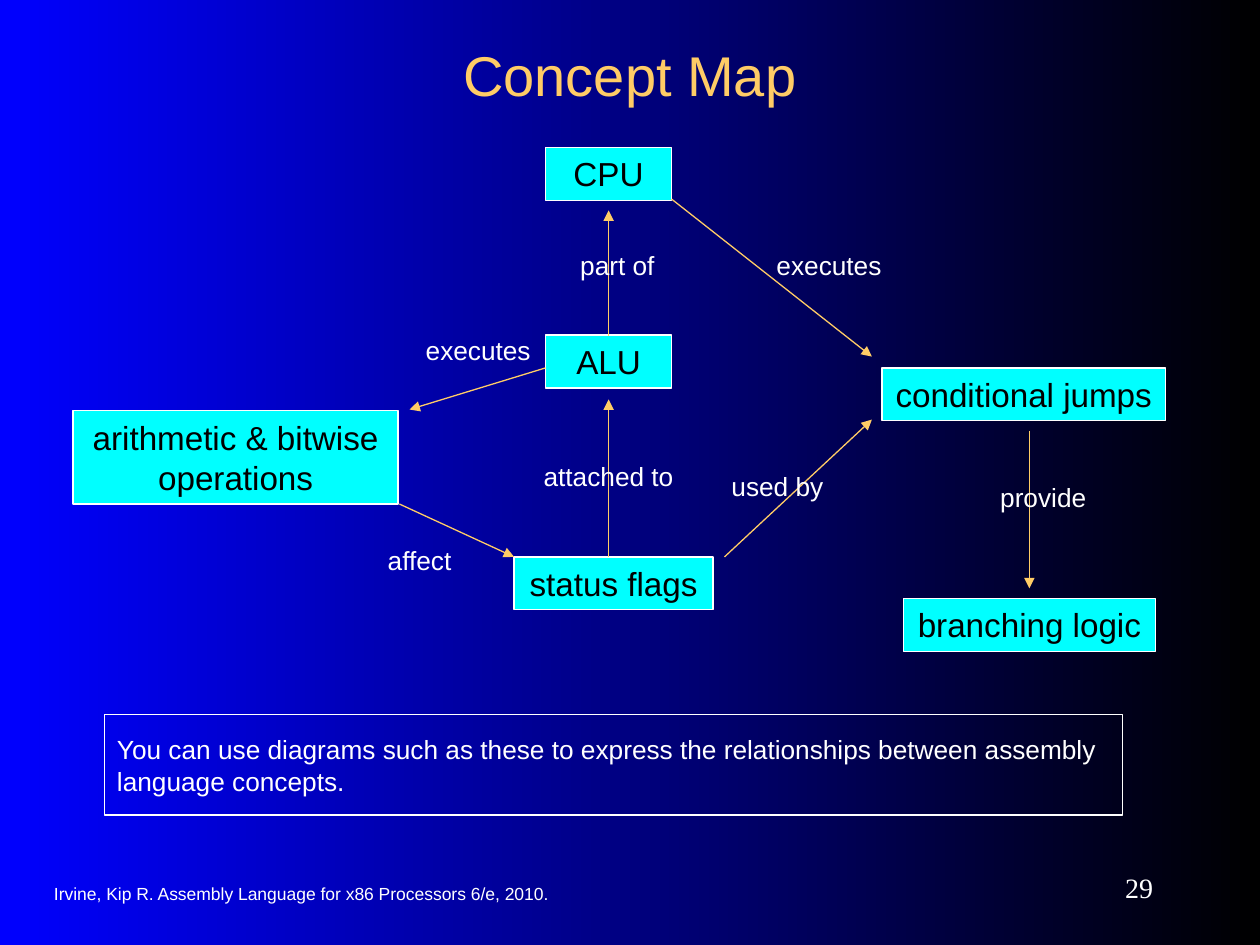
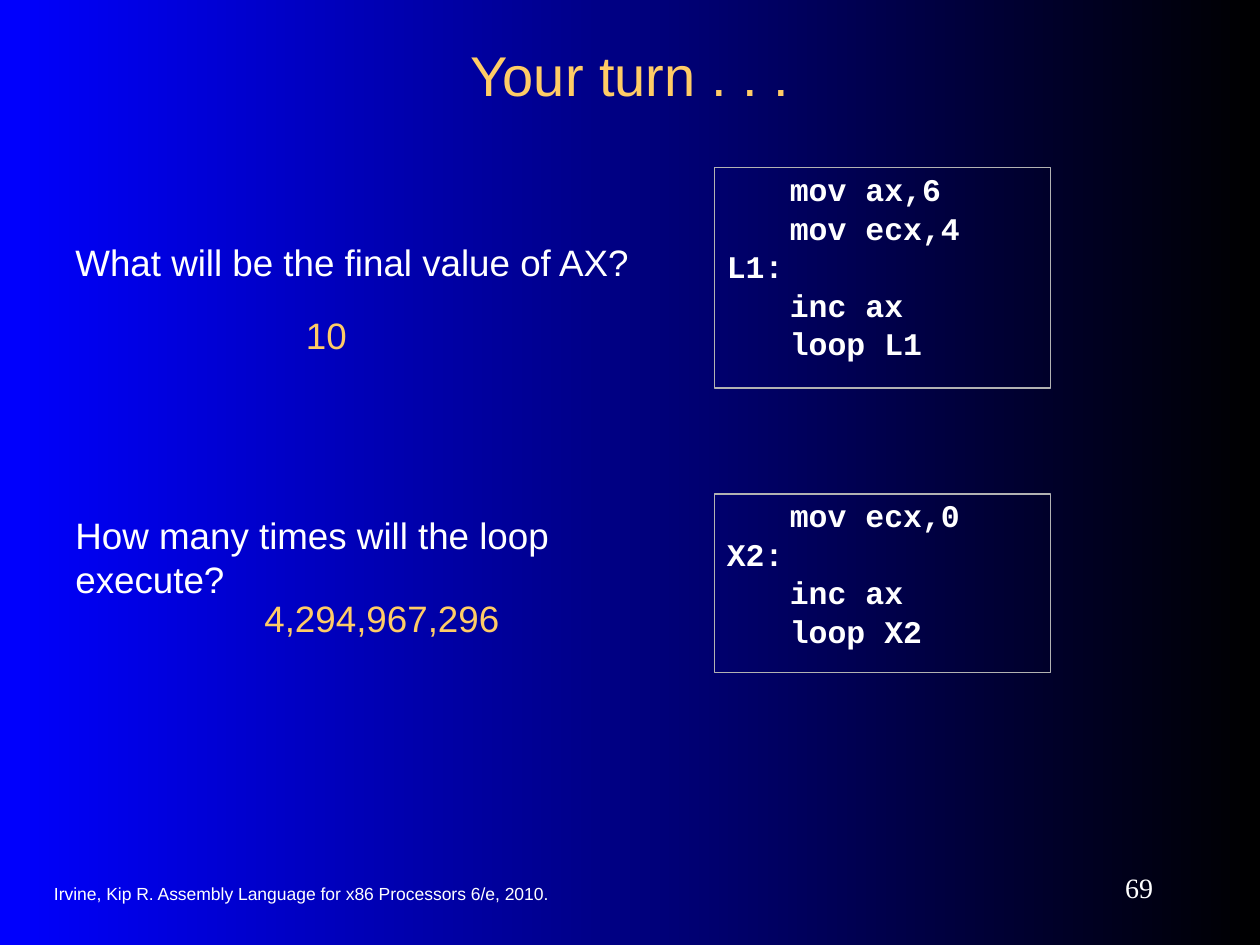
from pptx import Presentation
from pptx.dml.color import RGBColor
from pptx.enum import shapes, text
from pptx.oxml import ns, xmlchemy as xml
from pptx.util import Inches, Pt

WHITE, BLACK, GOLD = "FFFFFF", "000000", "FFCC66"
BLUE, CYAN, GRAY = "0000FF", "00FFFF", "B2B2B2"
LEFT, MID, RIGHT = text.PP_ALIGN.LEFT, text.PP_ALIGN.CENTER, text.PP_ALIGN.RIGHT
SOURCE = "Irvine, Kip R. Assembly Language for x86 Processors 6/e, 2010."


def color(code):
    return RGBColor.from_string(code)


def add(parent, tag, **attrs):
    """Append a DrawingML element with the given attributes."""
    child = xml.OxmlElement(tag)
    for name, value in attrs.items():
        child.set(name, str(value))
    parent.append(child)
    return child


class Deck:
    def __init__(self):
        self.prs = Presentation()
        self.prs.slide_width, self.prs.slide_height = Inches(10), Inches(7.5)
        # Shared background: blue to black, left to right
        fill = self.prs.slide_master.background.fill
        fill.gradient()
        fill.gradient_angle = 0
        for stop, code in zip(fill.gradient_stops, (BLUE, BLACK)):
            stop.color.rgb = color(code)

    def start(self, title, number):
        """Add a slide with its title, source line and page number."""
        self.slide = self.prs.slides.add_slide(self.prs.slide_layouts[5])
        head = self.slide.shapes.title
        self.place(head, 0.75, 0.25, 8.5, 0.67)
        self.style(head, title, 32, GOLD, MID, pad=0.05, middle=True)
        self.label(SOURCE, 0.33, 6.93, 5.25, 0.33, size=10, align=LEFT,
                   pad=0.05, middle=True)
        self.label(number, 8.17, 6.83, 1.08, 0.42, size=16, align=RIGHT,
                   face="Times New Roman", pad=0.05, middle=True)

    def place(self, shape, x, y, w, h):
        shape.left, shape.top = Inches(x), Inches(y)
        shape.width, shape.height = Inches(w), Inches(h)

    def style(self, shape, words, size, ink=WHITE, align=LEFT, face="Arial",
              side=0.1, pad=0.15, middle=False):
        frame = shape.text_frame
        frame.word_wrap = True
        frame.auto_size = text.MSO_AUTO_SIZE.NONE
        frame.margin_left = frame.margin_right = Inches(side)
        frame.margin_top = frame.margin_bottom = Inches(pad)
        anchor = text.MSO_ANCHOR
        frame.vertical_anchor = anchor.MIDDLE if middle else anchor.TOP
        frame.text = words
        for para in frame.paragraphs:
            para.alignment = align
            para.font.name, para.font.size = face, Pt(size)
            para.font.color.rgb = color(ink)
        return frame

    def label(self, words, x, y, w, h=0.55, size=15, align=MID, **look):
        box = self.slide.shapes.add_textbox(
            Inches(x), Inches(y), Inches(w), Inches(h))
        self.style(box, words, size, align=align, **look)

    def rect(self, x, y, w, h, edge=WHITE, fill=None):
        box = self.slide.shapes.add_shape(
            shapes.MSO_SHAPE.RECTANGLE,
            Inches(x), Inches(y), Inches(w), Inches(h))
        box.shadow.inherit = False
        if fill:
            box.fill.solid()
            box.fill.fore_color.rgb = color(fill)
        else:
            box.fill.background()
        box.line.color.rgb = color(edge)
        box.line.width = Pt(0.75)
        return box

    def node(self, words, x, y, w, h=0.42):
        box = self.rect(x, y, w, h, fill=CYAN)
        self.style(box, words, 19, BLACK, MID, side=0.05, pad=0.05)

    def note(self, words, x, y, w, h):
        self.style(self.rect(x, y, w, h), words, 15)

    def arrow(self, x1, y1, x2, y2):
        line = self.slide.shapes.add_connector(
            shapes.MSO_CONNECTOR.STRAIGHT,
            Inches(x1), Inches(y1), Inches(x2), Inches(y2))
        line.line.color.rgb = color(GOLD)
        line.line.width = Pt(0.75)
        props = line._element.spPr
        add(props.find(ns.qn("a:ln")), "a:tailEnd", type="triangle")
        add(props, "a:effectLst")

    def code(self, lines, x, y, w, h):
        box = self.rect(x, y, w, h, edge=GRAY)
        frame = self.style(box, "\n".join(lines), 18, face="Courier New")
        for para in frame.paragraphs:
            para.font.bold = True
            para.line_spacing, para.space_before = 0.5, Pt(11.2)
            # One tab stop for the instruction column
            tabs = xml.OxmlElement("a:tabLst")
            add(tabs, "a:tab", pos=Inches(0.5), algn="l")
            para._p.pPr.find(ns.qn("a:defRPr")).addprevious(tabs)


def draw_map(deck):
    deck.start("Concept Map", "29")
    # Concepts
    for node in (
        ("CPU", 4.33, 1.17, 1),
        ("ALU", 4.33, 2.66, 1),
        ("status flags", 4.08, 4.42, 1.58),
        ("conditional jumps", 7, 2.92, 2.25),
        ("branching logic", 7.17, 4.75, 2),
        ("arithmetic & bitwise operations", 0.58, 3.26, 2.58, 0.74),
    ):
        deck.node(*node)
    # Relations: arrow ends, then label words, left, top, width
    for ends, words in (
        ((4.83, 2.67, 4.83, 1.67), ("part of", 4.36, 1.83, 1.08)),
        ((3.17, 4, 4.08, 4.42), ("affect", 2.33, 4.17, 2)),
        ((4.83, 4.42, 4.83, 3.17), ("attached to", 3.83, 3.5, 2)),
        ((5.75, 4.42, 6.92, 3.33), ("used by", 5.17, 3.58, 2)),
        ((8.17, 3.42, 8.17, 4.67), ("provide", 7.28, 3.67, 2)),
        ((5.33, 1.58, 6.92, 2.83), ("executes", 5.58, 1.83, 2)),
        ((4.33, 2.92, 3.25, 3.25), ("executes", 3.17, 2.5, 1.25)),
    ):
        deck.arrow(*ends)
        deck.label(*words)
    deck.note("You can use diagrams such as these to express the "
              "relationships between assembly language concepts.",
              0.83, 5.67, 8.08, 0.8)


def draw_quiz(deck):
    deck.start("Your turn . . .", "69")
    ask = dict(size=21, align=LEFT)
    # Final value
    deck.label("What will be the final value of AX?", 0.5, 1.75, 5.5, 0.65, **ask)
    deck.code(("\tmov ax,6", "\tmov ecx,4", "L1:", "\tinc ax", "\tloop L1"),
              5.67, 1.33, 2.67, 1.75)
    deck.label("10", 2.33, 2.33, 0.67, 0.65, ink=GOLD, **ask)
    # Loop count
    deck.label("How many times will the loop execute?", 0.5, 3.92, 4.67, 1, **ask)
    deck.code(("\tmov ecx,0", "X2:", "\tinc ax", "\tloop X2"),
              5.67, 3.92, 2.67, 1.42)
    deck.label("4,294,967,296", 2, 4.58, 2.33, 0.65, ink=GOLD, **ask)


def main():
    deck = Deck()
    draw_map(deck)
    draw_quiz(deck)
    deck.prs.save("out.pptx")


if __name__ == "__main__":
    main()
